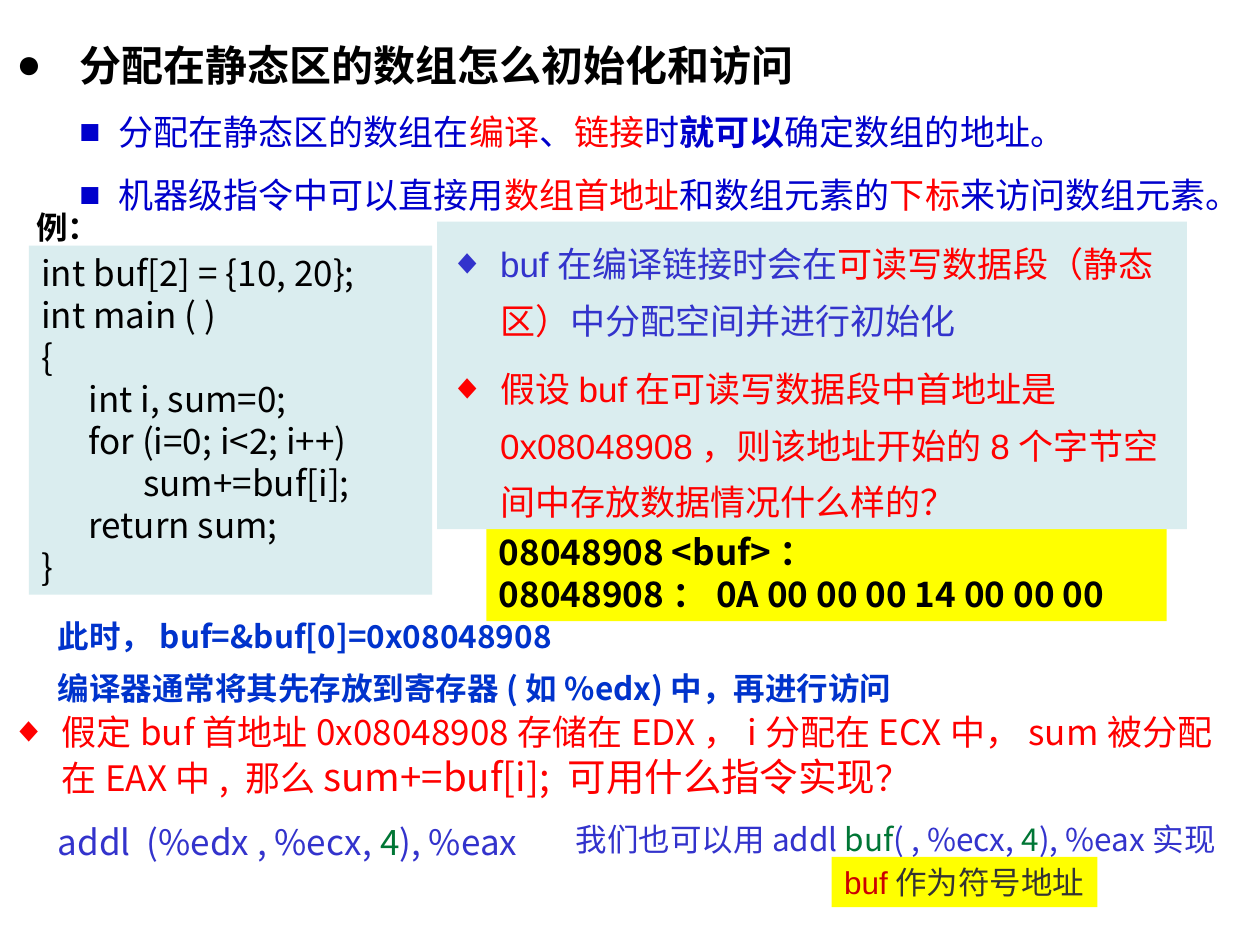
"""Build a slide on initialising and accessing statically allocated arrays."""
from lxml import etree
from pptx import Presentation
from pptx import util as u
from pptx.dml.color import RGBColor
from pptx.enum import shapes, text
from pptx.oxml import ns

BLACK = RGBColor(0, 0, 0)
WHITE = RGBColor(0xFF, 0xFF, 0xFF)
RED = RGBColor(0xFF, 0, 0)
DARK_RED = RGBColor(0xCC, 0, 0)
GREEN = RGBColor(0, 0x76, 0x35)
NAVY = RGBColor(0, 0, 0xCC)
BLUE = RGBColor(0, 0x33, 0xCC)
INDIGO = RGBColor(0x33, 0x33, 0xCC)
GRAY = RGBColor(0x33, 0x33, 0x33)
PALE = RGBColor(0xDA, 0xED, 0xEF)
YELLOW = RGBColor(0xFF, 0xFF, 0)
NOTO = "Noto Sans CJK SC"
ARIAL = "Arial"


def write_paragraph(paragraph, parts, size, font=NOTO, bold=False, spacing=1.0,
                    before=0, bullet=None, indent=0.4, left=None):
    """Write (text, colour[, size or bold flag]) parts, with an optional bullet."""
    paragraph.line_spacing = spacing
    paragraph.space_before = u.Pt(before)
    if bullet:
        properties = paragraph._p.get_or_add_pPr()
        properties.set("marL", str(u.Inches(left or indent)))
        properties.set("indent", str(-u.Inches(indent)))
        color = etree.SubElement(properties, ns.qn("a:buClr"))
        etree.SubElement(color, ns.qn("a:srgbClr")).set("val", str(parts[0][1]))
        etree.SubElement(properties, ns.qn("a:buFont")).set("typeface", ARIAL)
        etree.SubElement(properties, ns.qn("a:buChar")).set("char", bullet)
    for wording, color, *extra in parts:
        run = paragraph.add_run()
        run.text = wording
        run.font.name = font
        run.font.size = u.Pt(size)
        run.font.bold = bold
        run.font.color.rgb = color
        if extra and extra[0] is True:
            run.font.bold = True
        elif extra:
            run.font.size = u.Pt(extra[0])
        east_asian = etree.SubElement(run._r.get_or_add_rPr(), ns.qn("a:ea"))
        east_asian.set("typeface", font)


def add_box(place, paragraphs, fill=None, middle=False, wrap=True, **style):
    """Add a text box, or a filled rectangle, holding the given paragraphs."""
    position = [u.Inches(value) for value in place]
    if fill is None:
        shape = slide.shapes.add_textbox(*position)
    else:
        shape = slide.shapes.add_shape(shapes.MSO_SHAPE.RECTANGLE, *position)
        shape.shadow.inherit = False
        shape.fill.solid()
        shape.fill.fore_color.rgb = fill
        shape.line.fill.background()
    frame = shape.text_frame
    frame.word_wrap = wrap
    frame.vertical_anchor = text.MSO_ANCHOR.MIDDLE if middle else text.MSO_ANCHOR.TOP
    before = style.pop("before", 0)
    for index, parts in enumerate(paragraphs):
        paragraph = frame.add_paragraph() if index else frame.paragraphs[0]
        paragraph.alignment = text.PP_ALIGN.LEFT
        write_paragraph(paragraph, parts, before=before if index else 0, **style)


presentation = Presentation()
presentation.slide_width = u.Inches(10)
presentation.slide_height = u.Inches(7.5)
slide = presentation.slides.add_slide(presentation.slide_layouts[1])
title = slide.shapes.title
title._element.getparent().remove(title._element)

body = slide.placeholders[1]
body.left, body.top = u.Inches(0.03), u.Inches(0.06)
body.width, body.height = u.Inches(9.93), u.Inches(2.04)
body.fill.solid()
body.fill.fore_color.rgb = WHITE
body.text_frame.auto_size = text.MSO_AUTO_SIZE.NONE
write_paragraph(body.text_frame.paragraphs[0],
                [("分配在静态区的数组怎么初始化和访问", BLACK)],
                24, bold=True, spacing=1.5, bullet="●", indent=0.5)
points = [
    [("分配在静态区的数组在", NAVY), ("编译", RED), ("、", NAVY), ("链接", RED),
     ("时", NAVY), ("就可以", NAVY, True), ("确定数组的地址。", NAVY)],
    [("机器级指令中可以直接用", NAVY), ("数组首地址", RED), ("和数组元素的", NAVY),
     ("下标", RED), ("来访问数组元素。", NAVY)],
]
for point in points:
    paragraph = body.text_frame.add_paragraph()
    paragraph.level = 1
    write_paragraph(paragraph, point, 20, spacing=1.5, bullet="■",
                    indent=0.31, left=0.81)

add_box((0.36, 6.3, 9.16, 0.6),
        [[("addl  (%edx , %ecx, ", INDIGO), ("4", GREEN), ("), %eax", INDIGO)]],
        size=20, spacing=1.5)
add_box((3.47, 1.76, 5.95, 1),
        [[("buf在编译链接时会在", INDIGO), ("可读写数据段（静态区）", RED),
          ("中分配空间并进行初始化", INDIGO)]],
        PALE, True, size=20, font=ARIAL, spacing=1.35, bullet="◆")
add_box((3.86, 4.16, 5.4, 0.77),
        [[("08048908 <buf>：", BLACK)],
         [("08048908：0A 00 00 00 14 00 00 00", BLACK)]],
        YELLOW, True, size=20, bold=True)
add_box((-0.01, 5.59, 9.78, 0.8),
        [[("假定buf首地址0x08048908存储在EDX，i分配在ECX中，sum被分配在EAX中, 那么", RED),
          ("sum+=buf[i]; 可用什么指令实现", RED, 22), ("？", RED)]],
        middle=True, size=20, bullet="◆")

code = """int buf[2] = {10, 20};
int main ( )
{
      int i, sum=0;
      for (i=0; i<2; i++)
             sum+=buf[i];
      return sum;
}"""
add_box((0.23, 1.95, 3.2, 2.77), [[(line, BLACK)] for line in code.splitlines()],
        PALE, size=20)
add_box((3.47, 2.75, 5.95, 1.45),
        [[("假设buf在可读写数据段中首地址是0x08048908，则该地址开始的8个字节空间中存放数据情况什么样的？", RED)]],
        PALE, True, size=20, font=ARIAL, spacing=1.35, bullet="◆")
add_box((0.19, 1.6, 0.7, 0.4), [[("例：", BLACK)]], wrap=False, size=18, bold=True)
add_box((6.6, 6.8, 2.11, 0.4), [[("buf", DARK_RED), ("作为符号地址", GRAY)]],
        YELLOW, wrap=False, size=18, font=ARIAL)
add_box((4.47, 6.46, 5.33, 0.4),
        [[("我们也可以用addl ", INDIGO), ("buf", GREEN), ("( , %ecx, ", INDIGO),
          ("4", GREEN), ("), %eax实现", INDIGO)]],
        wrap=False, size=18)
add_box((0.36, 4.85, 7.35, 0.81),
        [[("此时，buf=&buf[0]=0x08048908", BLUE)],
         [("编译器通常将其先存放到寄存器(如%edx)中，再进行访问", BLUE)]],
        size=18, bold=True, before=8)

presentation.save("out.pptx")
